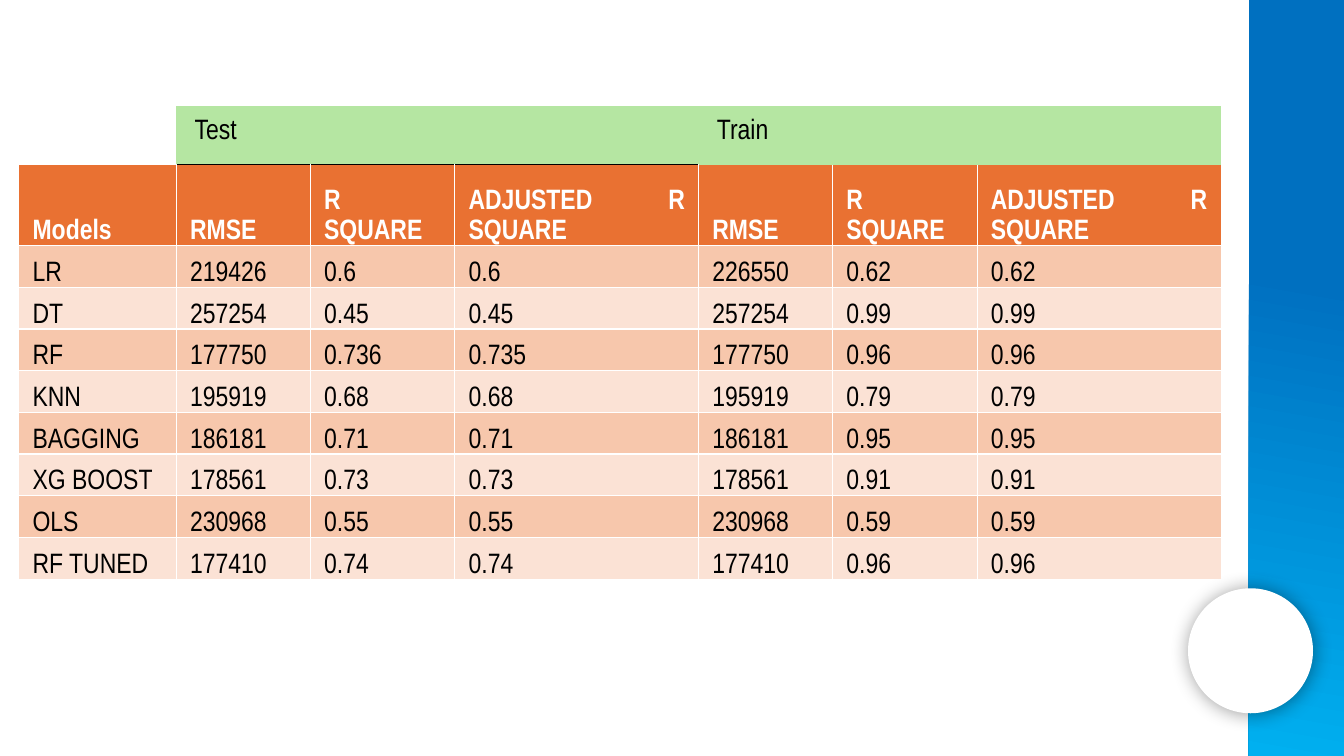
import pptx
import pptx.dml.color
import pptx.enum.shapes
import pptx.enum.text
import pptx.oxml
import pptx.oxml.ns
import pptx.util

Pt = pptx.util.Pt
COLORS = {
    "white": "FFFFFF", "black": "000000", "group": "B5E6A2", "header": "E97132",
    "odd_row": "F7C7AC", "even_row": "FBE2D5", "deep_blue": "0070C0", "sky_blue": "00B0F0",
}
METRICS = ["RMSE", "R SQUARE", "ADJUSTED R SQUARE"]
GROUPS = ["Test", "Train"]
SCORES = [
    ["LR", "219426", "0.6", "0.6", "226550", "0.62", "0.62"],
    ["DT", "257254", "0.45", "0.45", "257254", "0.99", "0.99"],
    ["RF", "177750", "0.736", "0.735", "177750", "0.96", "0.96"],
    ["KNN", "195919", "0.68", "0.68", "195919", "0.79", "0.79"],
    ["BAGGING", "186181", "0.71", "0.71", "186181", "0.95", "0.95"],
    ["XG BOOST", "178561", "0.73", "0.73", "178561", "0.91", "0.91"],
    ["OLS", "230968", "0.55", "0.55", "230968", "0.59", "0.59"],
    ["RF TUNED", "177410", "0.74", "0.74", "177410", "0.96", "0.96"],
]
MODEL_WIDTH = 112.5
METRIC_WIDTHS = [95.8, 103.2, 174.1]
GROUP_HEIGHT, HEADER_HEIGHT, SCORE_HEIGHT = 41.8, 57.6, 29.8


def rgb(name):
    return pptx.dml.color.RGBColor.from_string(COLORS[name])


def add_plain_shape(slide, kind, box):
    shape = slide.shapes.add_shape(kind, *[Pt(v) for v in box])
    shape.line.fill.background()
    shape.shadow.inherit = False
    return shape


def add_side_band(slide, box):
    band = add_plain_shape(slide, pptx.enum.shapes.MSO_SHAPE.RECTANGLE, box)
    band.fill.gradient()
    band.fill.gradient_angle = 260
    stops = [(0.37, "deep_blue"), (1, "sky_blue")]
    for stop, (position, color) in zip(band.fill.gradient_stops, stops):
        stop.position = position
        stop.color.rgb = rgb(color)


def add_badge(slide, box):
    badge = add_plain_shape(slide, pptx.enum.shapes.MSO_SHAPE.OVAL, box)
    badge.fill.solid()
    badge.fill.fore_color.rgb = rgb("white")
    # Soft shadow around the circle
    effects = badge.element.spPr.find(pptx.oxml.ns.qn("a:effectLst"))
    effects.append(pptx.oxml.parse_xml(
        f'<a:outerShdw {pptx.oxml.ns.nsdecls("a")} blurRad="{Pt(14)}" dist="{Pt(1)}" '
        f'dir="{43 * 60000}" algn="ctr" rotWithShape="0"><a:srgbClr val="{COLORS["black"]}">'
        '<a:alpha val="40000"/></a:srgbClr></a:outerShdw>'))


def set_borders(cell, left, right, top, bottom):
    """Each side is None or a (colour, width) pair."""
    properties = cell._tc.get_or_add_tcPr()
    for index, (side, edge) in enumerate(zip("LRTB", (left, right, top, bottom))):
        if edge:
            color, width = edge
            size = Pt(width)
            paint = f'<a:solidFill><a:srgbClr val="{COLORS[color]}"/></a:solidFill>'
        else:
            size, paint = 0, "<a:noFill/>"
        properties.insert(index, pptx.oxml.parse_xml(
            f'<a:ln{side} {pptx.oxml.ns.nsdecls("a")} w="{size}">{paint}</a:ln{side}>'))


def edge_below(row, column, last_row):
    """Line under a cell; row -1 is the outer top edge."""
    if row == 0:
        return ("black", 1) if 1 <= column <= len(METRICS) else None
    if row == 1:
        return ("white", 1.5)
    return ("white", 1) if 0 < row < last_row else None


def fill_cell(cell, text, fill, insets, color="black", bold=False):
    cell.fill.solid()
    cell.fill.fore_color.rgb = rgb(fill)
    cell.margin_left = cell.margin_right = Pt(insets[0])
    cell.margin_top, cell.margin_bottom = Pt(insets[1]), Pt(insets[2])
    cell.text = text
    paragraph = cell.text_frame.paragraphs[0]
    paragraph.alignment = pptx.enum.text.PP_ALIGN.JUSTIFY
    paragraph.line_spacing = 1.15
    paragraph.space_after = Pt(10)
    paragraph.font.name = "Arial Narrow"
    paragraph.font.size = Pt(20)
    paragraph.font.bold = bold
    paragraph.font.color.rgb = rgb(color)


def add_score_table(slide, left, top):
    widths = [MODEL_WIDTH] + METRIC_WIDTHS * len(GROUPS)
    heights = [GROUP_HEIGHT, HEADER_HEIGHT] + [SCORE_HEIGHT] * len(SCORES)
    table = slide.shapes.add_table(
        len(heights), len(widths), Pt(left), Pt(top), Pt(sum(widths)), Pt(sum(heights))).table
    table.first_row = table.horz_banding = False
    for column, width in zip(table.columns, widths):
        column.width = Pt(width)
    for row, height in zip(table.rows, heights):
        row.height = Pt(height)

    # Group row: one merged cell for each data set
    table.cell(0, 0).fill.background()
    for index, group in enumerate(GROUPS):
        first = 1 + index * len(METRICS)
        table.cell(0, first).merge(table.cell(0, first + len(METRICS) - 1))
        fill_cell(table.cell(0, first), group, "group", (13, 6.5, 6.5))

    # Column headings and scores
    for r, values in enumerate([["Models"] + METRICS * len(GROUPS)] + SCORES, start=1):
        if r == 1:
            look = {"fill": "header", "color": "white", "bold": True}
        else:
            look = {"fill": "even_row" if r % 2 else "odd_row"}
        for c, value in enumerate(values):
            cell = table.cell(r, c)
            fill_cell(cell, value, insets=(9.8, 1.4, 0), **look)
            cell.vertical_anchor = pptx.enum.text.MSO_ANCHOR.BOTTOM

    # Grid lines
    last_row, last_column = len(heights) - 1, len(widths) - 1
    for r in range(len(heights)):
        for c in range(len(widths)):
            set_borders(
                table.cell(r, c),
                left=("white", 1) if r and c else None,
                right=("white", 1) if r and c < last_column else None,
                top=edge_below(r - 1, c, last_row),
                bottom=edge_below(r, c, last_row))


def main():
    presentation = pptx.Presentation()
    presentation.slide_width, presentation.slide_height = Pt(960), Pt(540)
    slide = presentation.slides.add_slide(presentation.slide_layouts[6])
    add_side_band(slide, (892, 0, 68, 540))
    add_badge(slide, (848.6, 420.2, 89.3, 89.3))
    add_score_table(slide, 13.5, 76)
    presentation.save("out.pptx")


if __name__ == "__main__":
    main()
